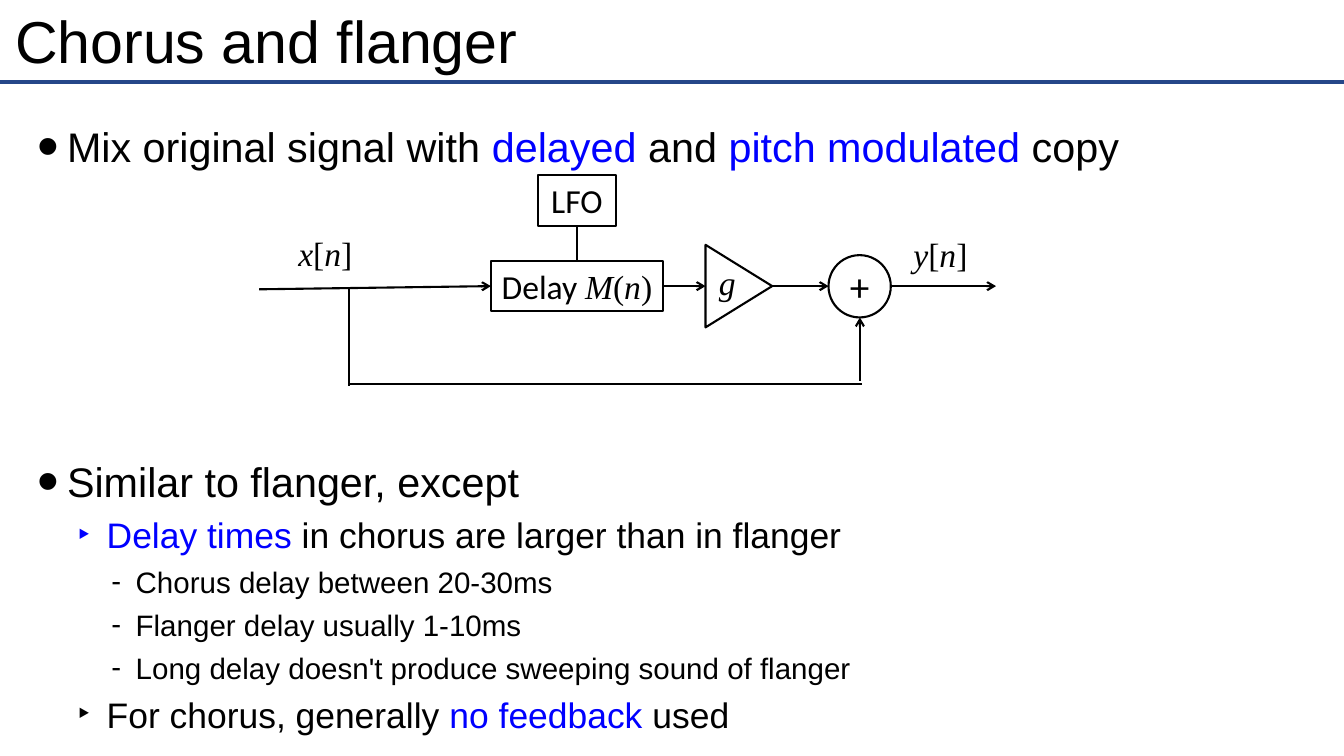
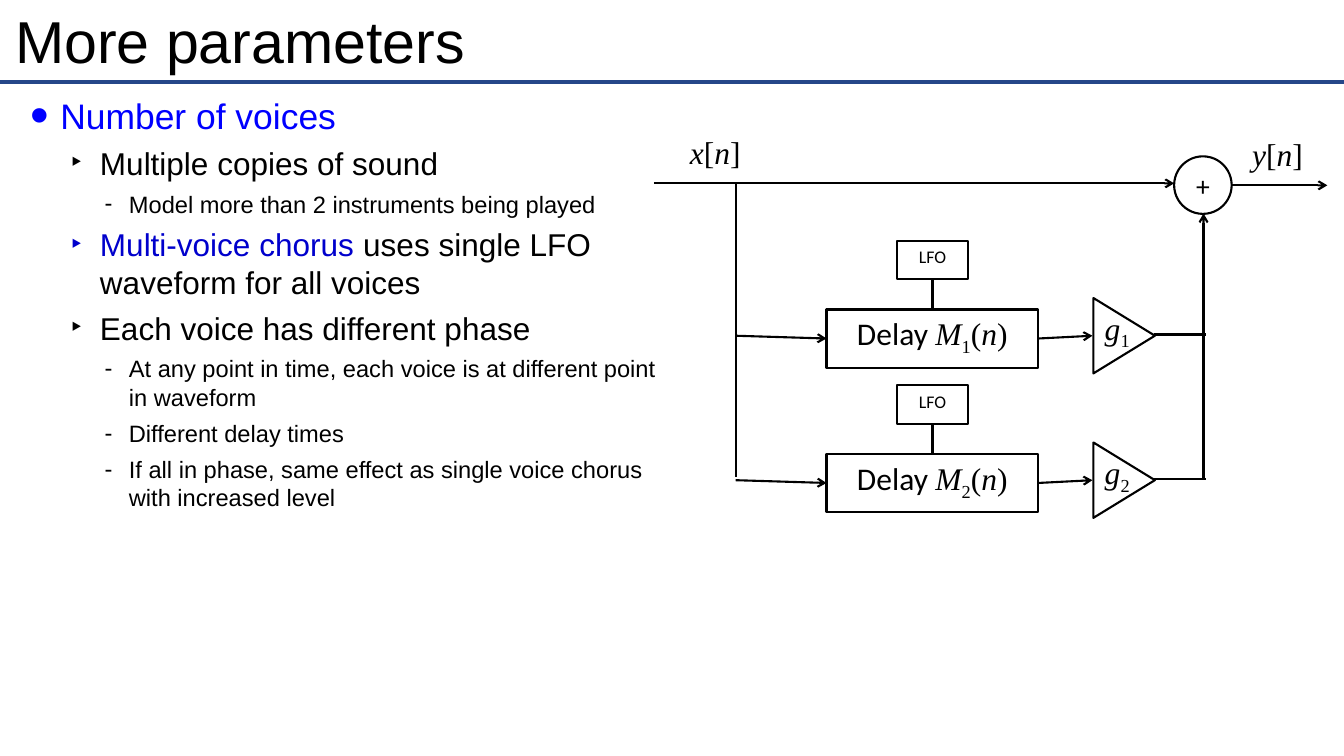
import pptx
import pptx.dml.color
import pptx.enum.shapes
import pptx.enum.text
import pptx.oxml.ns
import pptx.util
from lxml import etree

Cm = pptx.util.Cm
Pt = pptx.util.Pt
Shape = pptx.enum.shapes.MSO_SHAPE
Align = pptx.enum.text.PP_ALIGN
Anchor = pptx.enum.text.MSO_ANCHOR

BLACK, BLUE, DARK_BLUE, RULE_BLUE = "000000", "0000FF", "0000CC", "254789"
BODY_FONT, LABEL_FONT, MATH_FONT = "Arial", "Calibri", "Times New Roman"
SLIDE_WIDTH, SLIDE_HEIGHT = 33.87, 19.05

# Per outline level: bullet, bullet size in percent, left margin, hanging indent
LEVELS = [("•", 150, 1.24, 0.74), ("‣", 100, 2.24, 0.74), ("-", 100, 2.97, 0.61)]
LFO = [("LFO", {})]


def color(hex_string):
    return pptx.dml.color.RGBColor.from_string(hex_string)


def add_child(parent, tag, **attributes):
    child = etree.SubElement(parent, pptx.oxml.ns.qn(tag))
    for name, value in attributes.items():
        child.set(name, str(value))


def add_run(paragraph, text, size, font=BODY_FONT, fill=BLACK, italic=False, baseline=0):
    run = paragraph.add_run()
    run.text = text
    run.font.size = Pt(size)
    run.font.name = font
    run.font.italic = italic
    run.font.color.rgb = color(fill)
    if baseline:
        run.font._element.set("baseline", str(baseline * 1000))


def upright(text, **formatting):
    return text, dict(font=MATH_FONT, **formatting)


def variable(name, index=""):
    """Runs of an italic symbol with an optional subscript."""
    runs = [upright(name, italic=True)]
    return runs + [upright(index, baseline=-25)] if index else runs


def signal(name):
    return [*variable(name), upright("["), *variable("n"), upright("]")]


def delay(index=""):
    return [("Delay ", {}), *variable("M", index),
            upright("("), *variable("n"), upright(")")]


class Deck:
    """Holds the common style and the slide being drawn."""

    def __init__(self, presentation):
        self.presentation = presentation
        self.presentation.slide_width = Cm(SLIDE_WIDTH)
        self.presentation.slide_height = Cm(SLIDE_HEIGHT)
        self.slide = None

    def new_slide(self, title):
        self.slide = self.presentation.slides.add_slide(self.presentation.slide_layouts[5])
        self.line((0, 2.06), (SLIDE_WIDTH, 2.06), fill=RULE_BLUE, width=3)
        placeholder = self.slide.shapes.title
        placeholder.left, placeholder.top = Cm(0.23), Cm(0.1)
        placeholder.width, placeholder.height = Cm(33.38), Cm(1.8)
        frame = self.format_frame(placeholder, Anchor.MIDDLE, inset=0.15)
        frame.paragraphs[0].alignment = Align.LEFT
        add_run(frame.paragraphs[0], title, 42.2)

    def format_frame(self, shape, anchor, inset=None, wrap=True):
        frame = shape.text_frame
        frame.auto_size = pptx.enum.text.MSO_AUTO_SIZE.NONE
        frame.word_wrap = wrap
        frame.vertical_anchor = anchor
        if inset is not None:
            frame.margin_left = frame.margin_right = Cm(inset)
            frame.margin_top = frame.margin_bottom = Cm(inset)
        return frame

    def outline(self, left, top, width, height, sizes, items):
        """Bulleted text; an item is (level, runs) or (level, runs, space before)."""
        box = self.slide.shapes.add_textbox(Cm(left), Cm(top), Cm(width), Cm(height))
        frame = self.format_frame(box, Anchor.TOP, inset=0.15)
        for number, (level, runs, *space) in enumerate(items):
            paragraph = frame.add_paragraph() if number else frame.paragraphs[0]
            paragraph.level = level
            if number:
                paragraph.space_before = Pt(space[0] if space else 5.5)
            bullet, percent, margin, hanging = LEVELS[level]
            properties = paragraph._p.get_or_add_pPr()
            properties.set("marL", str(Cm(margin)))
            properties.set("indent", str(-Cm(hanging)))
            add_child(properties, "a:buSzPct", val=percent * 1000)
            add_child(properties, "a:buFont", typeface=BODY_FONT)
            add_child(properties, "a:buChar", char=bullet)
            for text, fill in runs:
                add_run(paragraph, text, sizes[level], fill=fill)

    def line(self, start, end, arrow=False, fill=BLACK, width=1.5):
        connector = self.slide.shapes.add_connector(
            pptx.enum.shapes.MSO_CONNECTOR.STRAIGHT,
            Cm(start[0]), Cm(start[1]), Cm(end[0]), Cm(end[1]))
        connector.line.color.rgb = color(fill)
        connector.line.width = Pt(width)
        if arrow:
            add_child(connector.line._get_or_add_ln(), "a:tailEnd", type="arrow")
        add_child(connector._element.spPr, "a:effectLst")

    def arrow(self, start, end):
        self.line(start, end, arrow=True)

    def outlined(self, kind, left, top, width, height):
        shape = self.slide.shapes.add_shape(kind, Cm(left), Cm(top), Cm(width), Cm(height))
        shape.shadow.inherit = False
        shape.fill.background()
        shape.line.color.rgb = color(BLACK)
        shape.line.width = Pt(1.5)
        return shape

    def set_text(self, shape, runs, size, anchor=Anchor.TOP, inset=None):
        frame = self.format_frame(shape, anchor, inset, wrap=False)
        paragraph = frame.paragraphs[0]
        paragraph.alignment = Align.CENTER
        for text, formatting in runs:
            add_run(paragraph, text, size, **{"font": LABEL_FONT, **formatting})

    def block(self, left, top, width, height, runs, size):
        self.set_text(self.outlined(Shape.RECTANGLE, left, top, width, height), runs, size)

    def label(self, left, top, width, height, runs, size):
        box = self.slide.shapes.add_textbox(Cm(left), Cm(top), Cm(width), Cm(height))
        self.set_text(box, runs, size)

    def adder(self, left, top, diameter, size):
        circle = self.outlined(Shape.OVAL, left, top, diameter, diameter)
        self.set_text(circle, [("+", {})], size, Anchor.MIDDLE, inset=0)

    def gain(self, center_x, center_y, length, breadth):
        """Amplifier triangle pointing right."""
        triangle = self.outlined(Shape.ISOSCELES_TRIANGLE, center_x - breadth / 2,
                                 center_y - length / 2, breadth, length)
        triangle.rotation = 90


def chorus_slide(deck):
    deck.new_slide("Chorus and flanger")
    deck.outline(0.3, 2.9, 33.38, 15.6, (29.5, 25.3, 21.1), [
        (0, [("Mix original signal with ", BLACK), ("delayed", BLUE), (" and ", BLACK),
             ("pitch modulated", BLUE), (" copy", BLACK)]),
        (0, [("Similar to flanger, except", BLACK)], 204),
        (1, [("Delay times", BLUE), (" in chorus are larger than in flanger", BLACK)]),
        (2, [("Chorus delay between 20-30ms", BLACK)]),
        (2, [("Flanger delay usually 1-10ms", BLACK)]),
        (2, [("Long delay doesn't produce sweeping sound of flanger", BLACK)]),
        (1, [("For chorus, generally ", BLACK), ("no feedback", BLUE), (" used", BLACK)]),
    ])
    size, axis = 24, 7.21
    deck.label(7.26, 5.74, 1.88, 1.27, signal("x"), size)
    deck.arrow((6.53, 7.29), (12.37, axis))
    deck.block(13.56, 4.42, 1.96, 1.27, LFO, size)
    deck.line((14.55, 5.69), (14.55, 6.58))
    deck.block(12.37, 6.58, 4.34, 1.27, delay(), size)
    deck.arrow((16.71, axis), (17.78, axis))
    deck.gain(18.62, axis, 1.68, 2.08)
    deck.label(17.86, 6.48, 0.94, 1.27, variable("g"), size)
    deck.arrow((19.46, axis), (20.88, axis))
    deck.adder(20.88, 6.43, 1.57, 28)
    deck.arrow((22.45, axis), (25.1, axis))
    deck.label(22.76, 5.77, 1.88, 1.27, signal("y"), size)
    deck.line((8.79, 7.26), (8.79, 9.73))
    deck.line((8.79, 9.68), (21.72, 9.68))
    deck.arrow((21.67, 9.6), (21.67, 8))


def voice(deck, index, offset, size):
    """One delayed branch, moved down by the offset."""
    entry, middle = 8.46 + offset, 8.53 + offset
    deck.block(22.61, 6.07 + offset, 1.78, 0.97, LFO, 12.7)
    deck.line((23.5, 7.04 + offset), (23.5, 7.8 + offset))
    deck.arrow((18.54, entry), (20.83, middle))
    deck.block(20.83, 7.8 + offset, 5.33, 1.47, delay(index), size)
    deck.arrow((26.16, middle), (27.53, entry))
    deck.gain(28.33, entry, 1.55, 1.9)
    deck.label(27.43, 7.65 + offset, 1.45, 1.47, variable("g", index), size)
    deck.line((29.08, 8.43 + offset), (30.38, 8.43 + offset))


def parameters_slide(deck):
    deck.new_slide("More parameters")
    deck.outline(0.13, 2.21, 17.04, 14.2, (25.3, 22.5, 16.9), [
        (0, [("Number of voices", BLUE)]),
        (1, [("Multiple copies of sound", BLACK)]),
        (2, [("Model more than 2 instruments being played", BLACK)]),
        (1, [("Multi-voice chorus ", DARK_BLUE),
             ("uses single LFO waveform for all voices", BLACK)]),
        (1, [("Each voice has different phase", BLACK)]),
        (2, [("At any point in time, each voice is at different point in waveform", BLACK)]),
        (2, [("Different delay times", BLACK)]),
        (2, [("If all in phase, same effect as single voice chorus with increased level",
              BLACK)]),
    ])
    size = 22.5
    deck.label(16.92, 3.23, 2.21, 1.47, signal("x"), size)
    deck.arrow((16.48, 4.62), (29.59, 4.62))
    deck.line((18.54, 4.62), (18.54, 12.01))
    deck.adder(29.59, 3.94, 1.45, 19.7)
    deck.arrow((31.04, 4.67), (33.45, 4.67))
    deck.label(31.09, 3.28, 2.21, 1.47, signal("y"), size)
    deck.arrow((30.33, 12.07), (30.33, 5.38))
    for position, index in enumerate("12"):
        voice(deck, index, position * 3.64, size)


def main():
    presentation = pptx.Presentation()
    deck = Deck(presentation)
    chorus_slide(deck)
    parameters_slide(deck)
    presentation.save("out.pptx")


if __name__ == "__main__":
    main()
